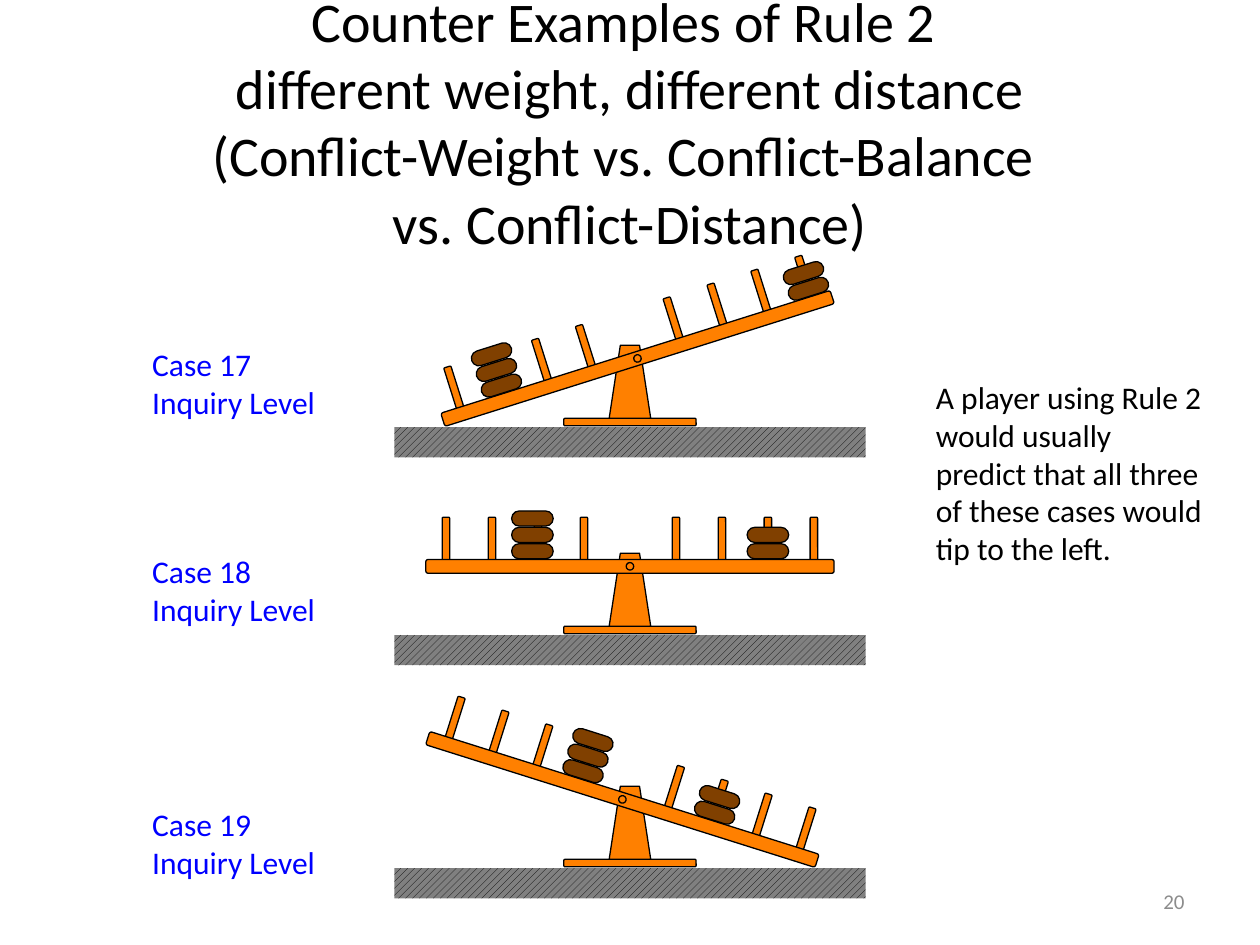
"""Build a slide of three balance-beam cases that contradict Rule 2."""
from math import cos, radians, sin

from pptx import Presentation
from pptx.dml.color import RGBColor
from pptx.enum.dml import MSO_PATTERN
from pptx.enum.shapes import MSO_SHAPE
from pptx.enum.text import MSO_ANCHOR, MSO_AUTO_SIZE, PP_ALIGN
from pptx.util import Inches, Pt

ROUND, RECT = MSO_SHAPE.ROUNDED_RECTANGLE, MSO_SHAPE.RECTANGLE
TRAPEZOID, OVAL = MSO_SHAPE.TRAPEZOID, MSO_SHAPE.OVAL
HATCH = MSO_PATTERN.WIDE_UPWARD_DIAGONAL
TOP, MIDDLE = MSO_ANCHOR.TOP, MSO_ANCHOR.MIDDLE
LEFT, CENTER, RIGHT = PP_ALIGN.LEFT, PP_ALIGN.CENTER, PP_ALIGN.RIGHT
NO_FIT = MSO_AUTO_SIZE.NONE

THEME = {
    "font": "Calibri",
    "title": 32, "body": 18, "number": 12,
    "ink": RGBColor(0, 0, 0), "case": RGBColor(0, 0, 255),
    "muted": RGBColor(0x8C, 0x8C, 0x8C), "ground": RGBColor(0x80, 0x80, 0x80),
    "wood": RGBColor(0xFF, 0x80, 0), "disc": RGBColor(0x80, 0x40, 0),
}
W, H = 10, 7.5
MID = W / 2
PEG_GAP = 0.365
DISC_GAP = 0.13
PIVOT_RISE = 0.545

CASES = [
    ("Case 17", 2.69, 3.39, 0.06, -17.5, -3, 4),
    ("Case 18", 4.33, 5.04, 0, 0, -2.12, 3),
    ("Case 19", 6.34, 6.89, -0.06, 17.5, -1, 2),
]


def add_part(group, kind, center, size, color, origin=(0, 0), angle=0, adj=None):
    """Add one shape, turned about the origin by the angle."""
    (x, y), (w, h), a = center, size, radians(angle)
    cx = origin[0] + x * cos(a) - y * sin(a)
    cy = origin[1] + x * sin(a) + y * cos(a)
    sp = group.shapes.add_shape(kind, Inches(cx - w / 2), Inches(cy - h / 2), Inches(w), Inches(h))
    sp.shadow.inherit = False
    sp.rotation = angle % 360
    sp.fill.solid()
    sp.fill.fore_color.rgb = THEME[color]
    sp.line.color.rgb = THEME["ink"]
    sp.line.width = Pt(0.75)
    if adj is not None:
        sp.adjustments[0] = adj
    return sp


def write(sp, box, paragraphs, size, color, align=LEFT, anchor=TOP, wrap=True):
    """Place a text shape and fill it; lines of a paragraph are split by breaks."""
    sp.left, sp.top, sp.width, sp.height = map(Inches, box)
    tf = sp.text_frame
    tf.word_wrap = wrap
    tf.auto_size = NO_FIT
    tf.vertical_anchor = anchor
    for i, lines in enumerate(paragraphs):
        p = tf.add_paragraph() if i else tf.paragraphs[0]
        p.alignment = align
        for j, line in enumerate(lines):
            if j:
                p.add_line_break()
            r = p.add_run()
            r.text = line
            r.font.name = THEME["font"]
            r.font.size = Pt(THEME[size])
            r.font.color.rgb = THEME[color]


prs = Presentation()
prs.slide_width, prs.slide_height = Inches(W), Inches(H)
s = prs.slides.add_slide(prs.slide_layouts[5])

title = ["Counter Examples of Rule 2 ", "different weight, different distance",
         "(Conflict-Weight vs. Conflict-Balance ", "vs. Conflict-Distance)"]
write(s.shapes.title, (0.5, -0.04, 9, 2), [title], "title", "ink", CENTER, MIDDLE)

for name, label_top, ground, shift, angle, left_peg, right_peg in CASES:
    label = s.shapes.add_textbox(0, 0, 0, 0)
    write(label, (1.11, label_top, 1.51, 0.71), [[name], ["Inquiry Level"]],
          "body", "case", wrap=False)

    g = s.shapes.add_group_shape()
    add_part(g, ROUND, (MID, ground - 0.04), (1.05, 0.06), "wood", adj=0.167)
    add_part(g, TRAPEZOID, (MID, ground - 0.36), (0.33, 0.58), "wood", adj=0.269)
    floor = add_part(g, RECT, (MID, ground + 0.12), (3.74, 0.24), "ground")
    floor.fill.patterned()
    floor.fill.pattern = HATCH
    floor.fill.fore_color.rgb = THEME["ink"]
    floor.fill.back_color.rgb = THEME["ground"]
    floor.line.fill.background()

    pivot = (MID + shift, ground - PIVOT_RISE)
    for peg in (-4, -3, -2, -1, 1, 2, 3, 4):
        add_part(g, ROUND, (peg * PEG_GAP, -0.21), (0.06, 0.36), "wood", pivot, angle, 0.167)
    add_part(g, ROUND, (0, 0), (3.24, 0.11), "wood", pivot, angle, 0.167)
    add_part(g, OVAL, (0, 0), (0.06, 0.06), "wood", pivot, angle)
    for peg, count in ((left_peg, 3), (right_peg, 2)):
        for level in range(count):
            add_part(g, ROUND, (peg * PEG_GAP, -0.12 - level * DISC_GAP), (0.33, 0.12),
                     "disc", pivot, angle, 0.5)

note = ("A player using Rule 2 would usually predict that all three "
        "of these cases would tip to the left.")
write(s.shapes.add_textbox(0, 0, 0, 0), (7.33, 2.95, 2.33, 1.62), [[note]], "body", "ink")
write(s.shapes.add_textbox(0, 0, 0, 0), (7.17, 6.95, 2.33, 0.4), [["20"]],
      "number", "muted", RIGHT, MIDDLE)

prs.save("out.pptx")
